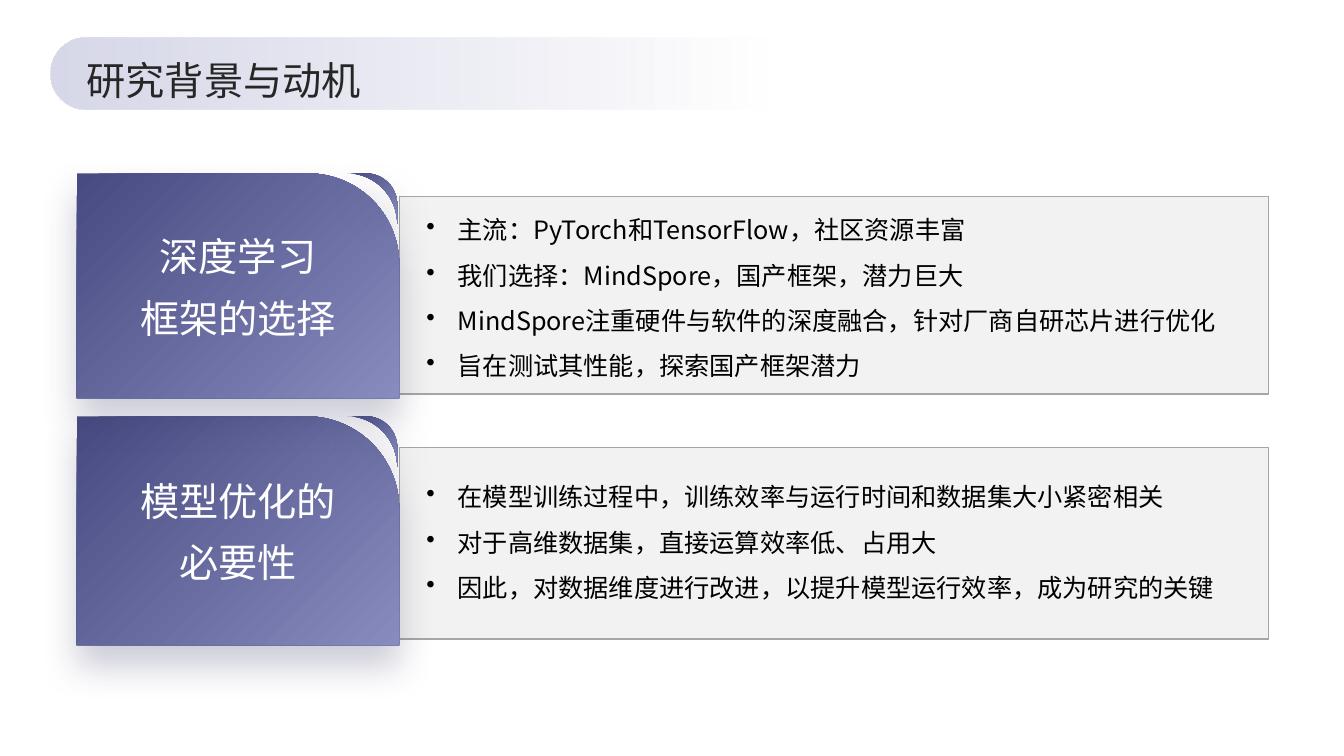
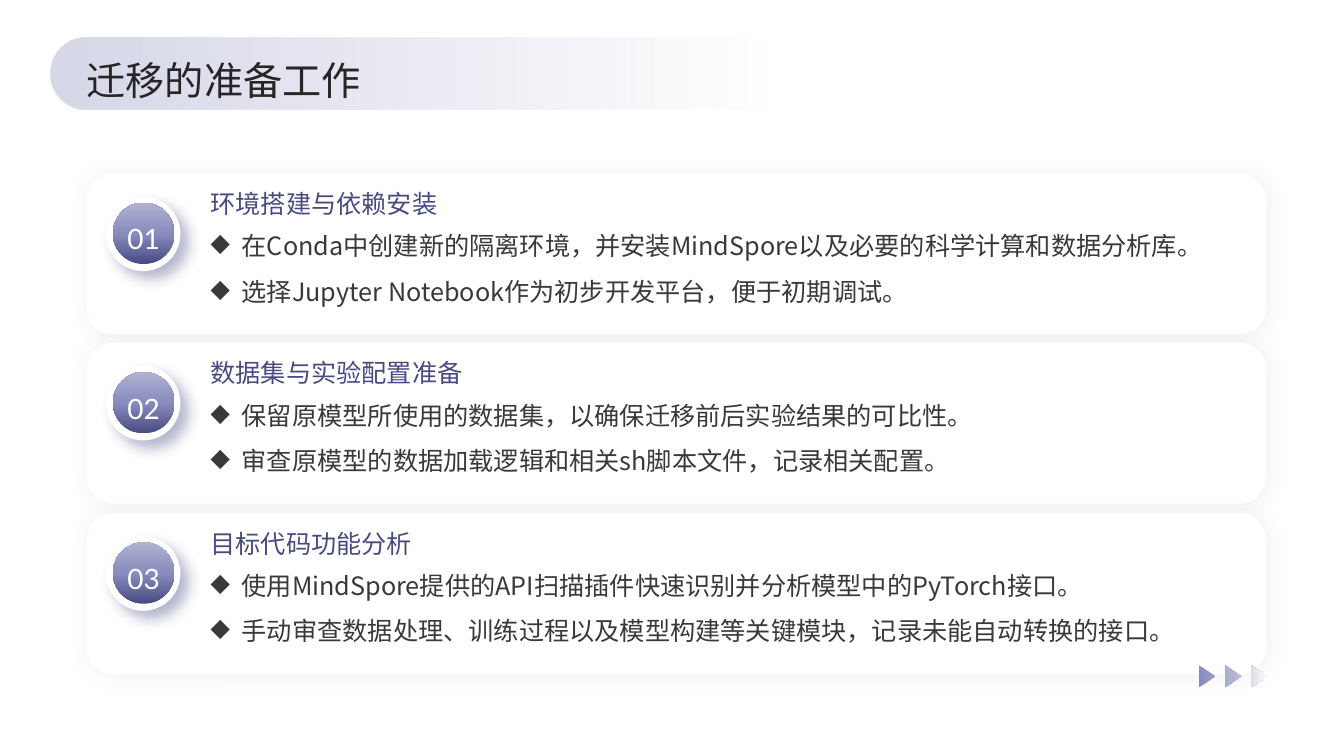
from math import cos, radians, sin

from pptx import Presentation
from pptx.dml.color import RGBColor
from pptx.enum.shapes import MSO_SHAPE as Geo
from pptx.enum.text import MSO_ANCHOR as Anchor, PP_ALIGN as Align
from pptx.oxml import parse_xml
from pptx.oxml.ns import nsdecls, qn
from pptx.util import Pt

PX = 9144
SANS, LATO = "Noto Sans CJK SC", "Lato"
HEX = {
    "deep": "484B82", "mid": "888BBD", "soft": "B0B2D3", "band": "D7D8E9",
    "shade": "363862", "white": "FFFFFF", "panel": "F2F2F2", "edge": "A6A6A6",
    "black": "000000", "title": "262626", "body": "3B3838",
}
TAB = ([(1, "deep", 100), (100, "mid", 100)], 45)
BAND = ([(0, "band", 100), (80, "band", 0)], 0)
BALL = ([(0, "deep", 100), (49, "mid", 100), (100, "soft", 100)], 270)
ARROW = ([(0, "mid", 100), (49, "soft", 100), (100, "white", 100)], 0)
TAB_SHADE = ("shade", 25, 26, 15, 90)
CARD_SHADE = ("deep", 8, 15, 0, 0)
RING_SHADE = ("deep", 40, 10, 8, 45)

REASONS = {
    "title": "研究背景与动机",
    "rows": [
        {"label": ["深度学习", "框架的选择"], "tab": (172, 223),
         "bar": (195, 196), "list": (198, 169),
         "points": ["主流：PyTorch和TensorFlow，社区资源丰富",
                    "我们选择：MindSpore，国产框架，潜力巨大",
                    "MindSpore注重硬件与软件的深度融合，针对厂商自研芯片进行优化",
                    "旨在测试其性能，探索国产框架潜力"]},
        {"label": ["模型优化的", "必要性"], "tab": (413, 227),
         "bar": (444, 190), "list": (463, 127),
         "points": ["在模型训练过程中，训练效率与运行时间和数据集大小紧密相关",
                    "对于高维数据集，直接运算效率低、占用大",
                    "因此，对数据维度进行改进，以提升模型运行效率，成为研究的关键"]},
    ],
}
STEPS = {
    "title": "迁移的准备工作",
    "cards": [
        ("环境搭建与依赖安装",
         ["在Conda中创建新的隔离环境，并安装MindSpore以及必要的科学计算和数据分析库。",
          "选择Jupyter Notebook作为初步开发平台，便于初期调试。"]),
        ("数据集与实验配置准备",
         ["保留原模型所使用的数据集，以确保迁移前后实验结果的可比性。",
          "审查原模型的数据加载逻辑和相关sh脚本文件，记录相关配置。"]),
        ("目标代码功能分析",
         ["使用MindSpore提供的API扫描插件快速识别并分析模型中的PyTorch接口。",
          "手动审查数据处理、训练过程以及模型构建等关键模块，记录未能自动转换的接口。"]),
    ],
}


def rgb(name):
    return RGBColor.from_string(HEX[name])


def tint(name, alpha):
    return f'<a:srgbClr val="{HEX[name]}"><a:alpha val="{alpha * 1000}"/></a:srgbClr>'


def paint(shape, fill, line=None, shade=None):
    shape.shadow.inherit = False
    shape.fill.solid()
    if isinstance(fill, str):
        shape.fill.fore_color.rgb = rgb(fill)
    else:
        stops, turn = fill
        marks = "".join(f'<a:gs pos="{pos * 1000}">{tint(name, alpha)}</a:gs>'
                        for pos, name, alpha in stops)
        grad = parse_xml(f'<a:gradFill {nsdecls("a")} rotWithShape="1"><a:gsLst>{marks}'
                         f'</a:gsLst><a:lin ang="{turn * 60000}" scaled="0"/></a:gradFill>')
        props = shape._element.spPr
        props.replace(props.find(qn("a:solidFill")), grad)
    if line:
        shape.line.color.rgb = rgb(line)
        shape.line.width = Pt(1)
    else:
        shape.line.fill.background()
    if shade:
        name, alpha, blur, dist, turn = shade
        shape._element.spPr.find(qn("a:effectLst")).append(parse_xml(
            f'<a:outerShdw {nsdecls("a")} blurRad="{Pt(blur)}" dist="{Pt(dist)}" '
            f'dir="{turn * 60000}" algn="ctr" rotWithShape="0">{tint(name, alpha)}</a:outerShdw>'))


def block(slide, geo, box, fill, line=None, shade=None, adj=None):
    shape = slide.shapes.add_shape(geo, *(n * PX for n in box))
    if adj is not None:
        shape.adjustments[0] = adj
    paint(shape, fill, line, shade)


def outline(slide, loops, fill, shade=None):
    pen = None
    for loop in loops:
        first, *rest = [(x * PX, y * PX) for x, y in loop]
        if pen is None:
            pen = slide.shapes.build_freeform(*first, scale=1.0)
        else:
            pen.move_to(*first)
        pen.add_line_segments(rest, close=True)
    paint(pen.convert_to_shape(), fill, shade=shade)


def write(slide, box, lines, size, color, space, font=SANS, align=None,
          mark=None, anchor=Anchor.TOP, inset=(0, 0)):
    frame = slide.shapes.add_textbox(*(n * PX for n in box)).text_frame
    frame.word_wrap = True
    frame.vertical_anchor = anchor
    frame.margin_left = frame.margin_right = inset[0] * PX
    frame.margin_top = frame.margin_bottom = inset[1] * PX
    frame.text = "\n".join(lines)
    for para in frame.paragraphs:
        if mark:
            props = para._p.get_or_add_pPr()
            props.set("marL", str(31 * PX))
            props.set("indent", str(-31 * PX))
            props.append(parse_xml(f'<a:buChar {nsdecls("a")} char="{mark}"/>'))
        para.line_spacing = space
        para.alignment = align
        for run in para.runs:
            run.font.size = Pt(size)
            run.font.name = font
            run.font.color.rgb = rgb(color)
            run.font._element.find(qn("a:latin")).addnext(
                parse_xml(f'<a:ea {nsdecls("a")} typeface="{font}"/>'))


def arc(mid_x, mid_y, radius, start, end):
    step = 5 if end > start else -5
    return [(mid_x + radius * cos(radians(a)), mid_y - radius * sin(radians(a)))
            for a in range(start, end + step, step)]


def start(deck, title):
    slide = deck.slides.add_slide(deck.slide_layouts[6])
    block(slide, Geo.ROUNDED_RECTANGLE, (50, 37, 894, 72), BAND, adj=0.5)
    write(slide, (86, 51, 1167, 51), [title], 28, "title", 1.1, anchor=Anchor.MIDDLE)
    return slide


def reasons(deck):
    slide = start(deck, REASONS["title"])
    for row in reversed(REASONS["rows"]):
        top, high = row["tab"]
        bar_top, bar_high = row["bar"]
        list_top, list_high = row["list"]
        block(slide, Geo.RECTANGLE, (396, bar_top, 862, bar_high), "panel", "edge")
        block(slide, Geo.ROUND_1_RECTANGLE, (76, top, 320, high), TAB,
              shade=TAB_SHADE, adj=0.405)
        curl = arc(363, top + 31, 31, 90, 0) + arc(344, top + 50, 50, 0, 90)
        outline(slide, [curl], TAB, TAB_SHADE)
        write(slide, (90, top + 31, 292, high - 74), row["label"], 28, "white", 1.3,
              align=Align.CENTER, anchor=Anchor.MIDDLE)
        write(slide, (423, list_top, 808, list_high), row["points"], 18, "black", 1.5,
              mark="•")


def steps(deck):
    slide = start(deck, STEPS["title"])
    pad = (10, 5)
    for i, (head, points) in enumerate(STEPS["cards"]):
        top = 172 + 337 * i // 2
        block(slide, Geo.ROUNDED_RECTANGLE, (86, top, 1170, 160), "white", shade=CARD_SHADE)
        block(slide, Geo.FLOWCHART_CONNECTOR, (105, top + 23, 74, 74), "white",
              shade=RING_SHADE)
        block(slide, Geo.FLOWCHART_CONNECTOR, (112, top + 29, 61, 61), BALL)
        write(slide, (86, top + 40, 113, 47), [f"{i + 1:02}"], 20, "white", 1.1,
              font=LATO, align=Align.CENTER, inset=pad)
        write(slide, (199, top + 37, 1037, 114), points, 18, "body", 1.5,
              mark="◆", inset=pad)
        write(slide, (199, top - 5, 1037, 52), [head], 18, "deep", 1.5, inset=pad)
    heads = [[(x, 660), (x + 16, 671), (x, 682)] for x in range(1189, 1243, 26)]
    outline(slide, heads, ARROW)


def main():
    """Build the two slides and save the deck."""
    deck = Presentation()
    deck.slide_width, deck.slide_height = 1333 * PX, 750 * PX
    reasons(deck)
    steps(deck)
    deck.save("out.pptx")


if __name__ == "__main__":
    main()
